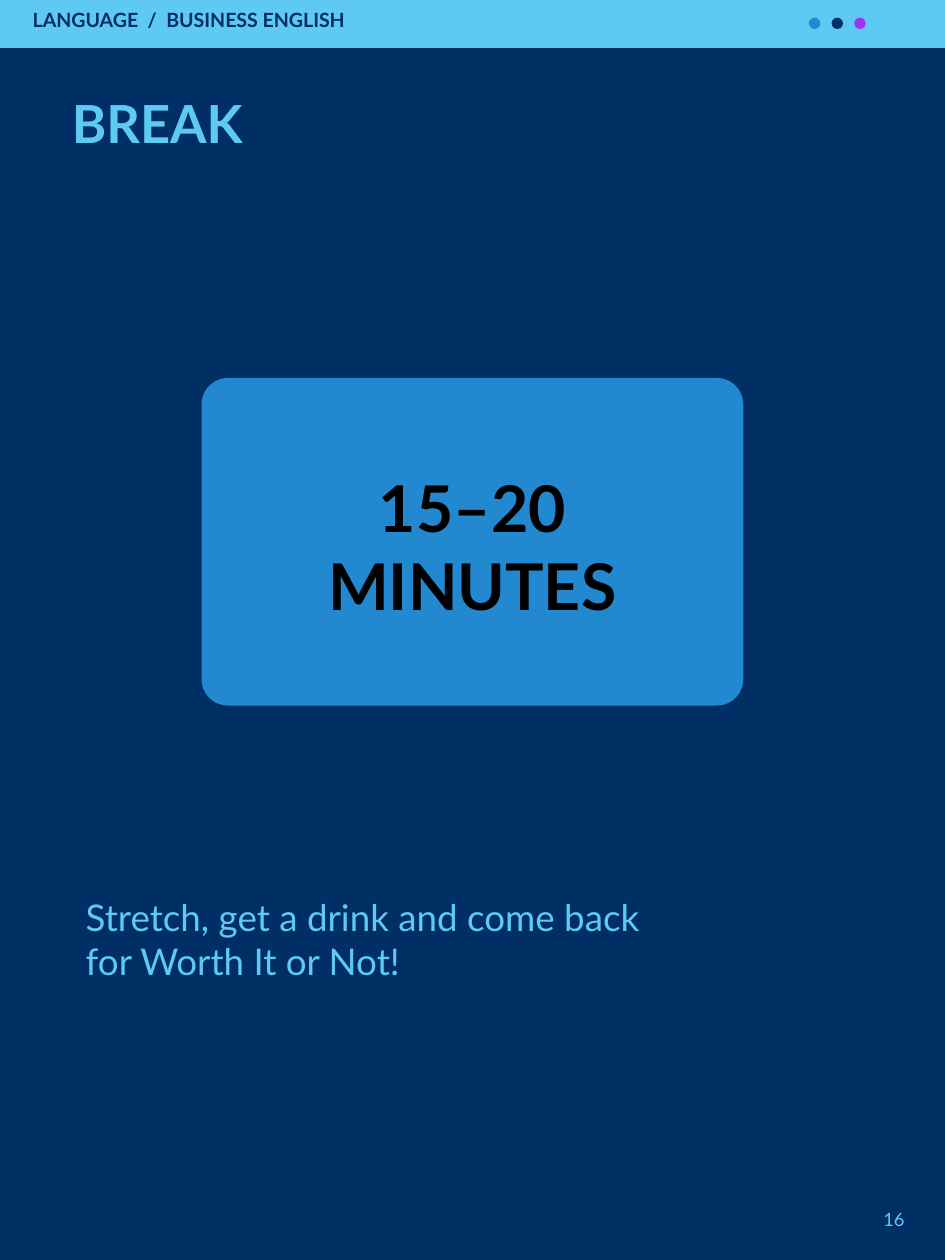
from pptx import Presentation
from pptx.dml.color import RGBColor
from pptx.enum.shapes import MSO_SHAPE
from pptx.enum.text import MSO_ANCHOR, MSO_AUTO_SIZE, PP_ALIGN
from pptx.util import Inches, Pt

NAVY, SKY, BLUE, PURPLE, BLACK = "002F65", "5EC9F3", "2288D0", "A133EE", "000000"
LEFT, CENTER, RIGHT = PP_ALIGN.LEFT, PP_ALIGN.CENTER, PP_ALIGN.RIGHT

TITLE = (["BREAK"], (0.57, 0.72, 6.35, 0.9), 30, 36, SKY, True, LEFT)
TEXTS = [
    (["LANGUAGE  /  BUSINESS ENGLISH"], (0.26, 0.06, 5.9, 0.25), 11.2, 13.5, NAVY, True, LEFT),
    (["16"], (6.82, 9.59, 0.36, 0.24), 10.5, 12.6, SKY, False, RIGHT),
    (["15–20", "MINUTES"], (1.25, 3.72, 5, 1.3), 36.8, 44.1, BLACK, True, CENTER),
    (["Stretch, get a drink and come back", "for Worth It or Not!"],
     (0.68, 7.1, 6.15, 1.15), 21, 25.2, SKY, False, LEFT),
]
HEADER = (0, 0, 7.5, 0.38)
CARD = (1.6, 3, 4.3, 2.6)
CARD_RADIUS = 0.21
DOTS = [BLUE, NAVY, PURPLE]
DOT_LEFT, DOT_TOP, DOT_SIZE, DOT_STEP = 6.42, 0.14, 0.09, 0.18


def color(hex_value):
    return RGBColor.from_string(hex_value)


def add_panel(page, kind, place, fill):
    panel = page.shapes.add_shape(kind, *map(Inches, place))
    panel.shadow.inherit = False
    panel.fill.solid()
    panel.fill.fore_color.rgb = color(fill)
    panel.line.fill.background()
    return panel


def write_text(box, lines, place, size, spacing, ink, bold, align):
    box.left, box.top, box.width, box.height = map(Inches, place)
    frame = box.text_frame
    frame.margin_left = frame.margin_right = frame.margin_top = frame.margin_bottom = 0
    frame.word_wrap = True
    frame.auto_size = MSO_AUTO_SIZE.NONE
    frame.vertical_anchor = MSO_ANCHOR.TOP
    frame.text = "\n".join(lines)
    for para in frame.paragraphs:
        para.alignment = align
        para.line_spacing = Pt(spacing)
        para.font.name = "Lato"
        para.font.size = Pt(size)
        para.font.bold = bold
        para.font.color.rgb = color(ink)


def main():
    deck = Presentation()
    deck.slide_width, deck.slide_height = Inches(7.5), Inches(10)
    page = deck.slides.add_slide(deck.slide_layouts.get_by_name("Title Only"))
    page.background.fill.solid()
    page.background.fill.fore_color.rgb = color(NAVY)

    add_panel(page, MSO_SHAPE.RECTANGLE, HEADER, SKY)
    for index, fill in enumerate(DOTS):
        place = (DOT_LEFT + index * DOT_STEP, DOT_TOP, DOT_SIZE, DOT_SIZE)
        add_panel(page, MSO_SHAPE.OVAL, place, fill)
    card = add_panel(page, MSO_SHAPE.ROUNDED_RECTANGLE, CARD, BLUE)
    card.adjustments[0] = CARD_RADIUS / min(CARD[2:])

    write_text(page.shapes.title, *TITLE)
    for text in TEXTS:
        write_text(page.shapes.add_textbox(0, 0, 0, 0), *text)
    deck.save("out.pptx")


if __name__ == "__main__":
    main()
